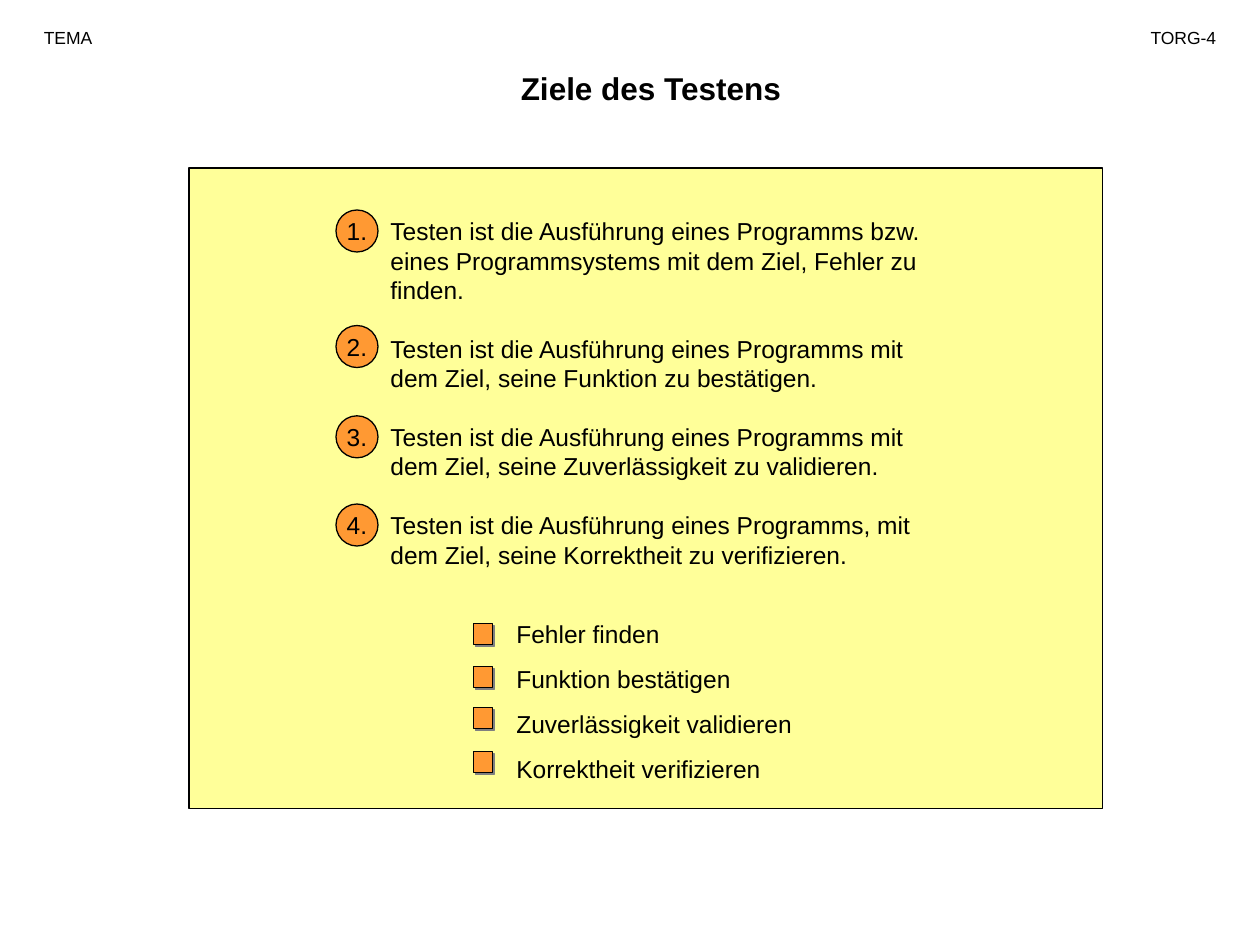
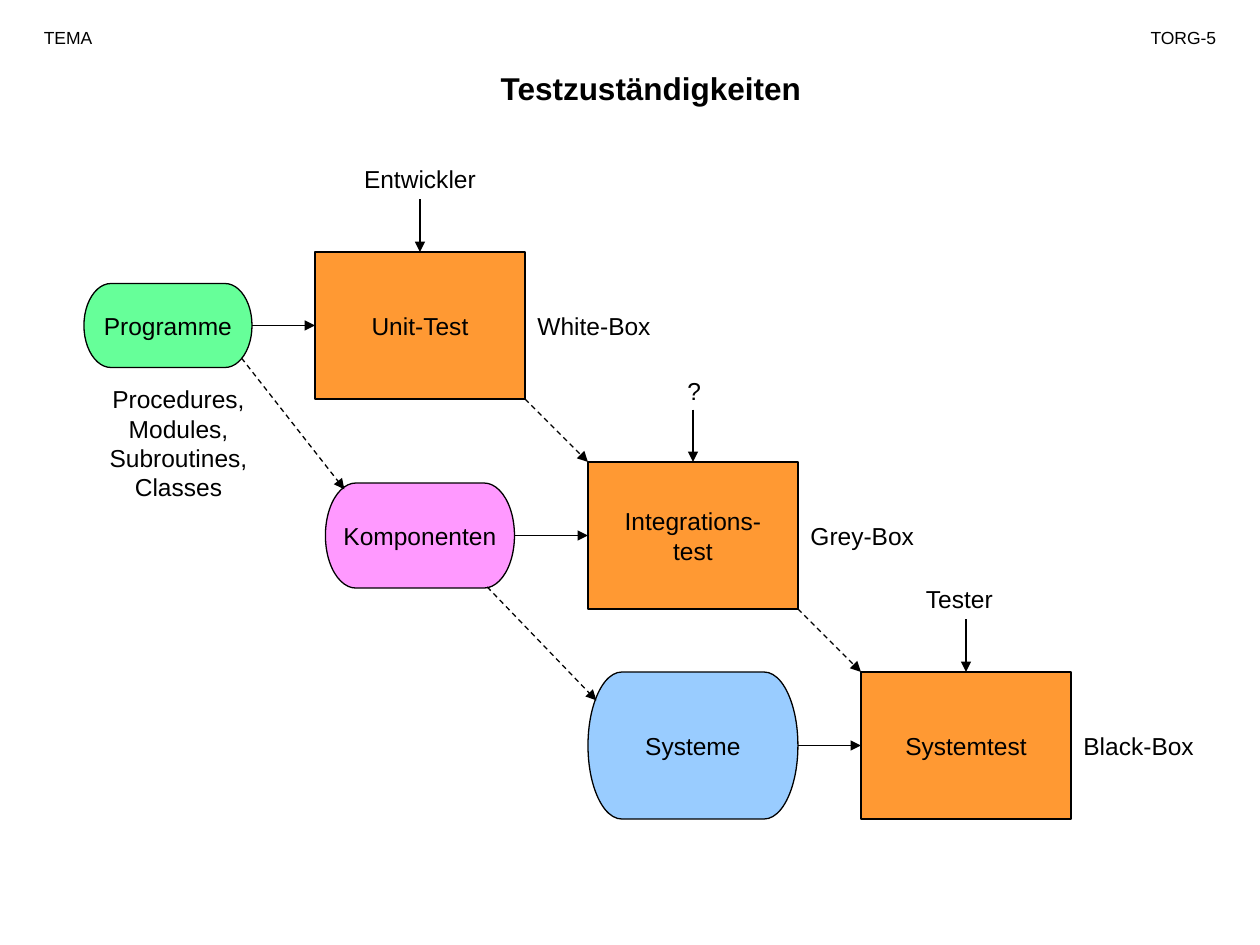
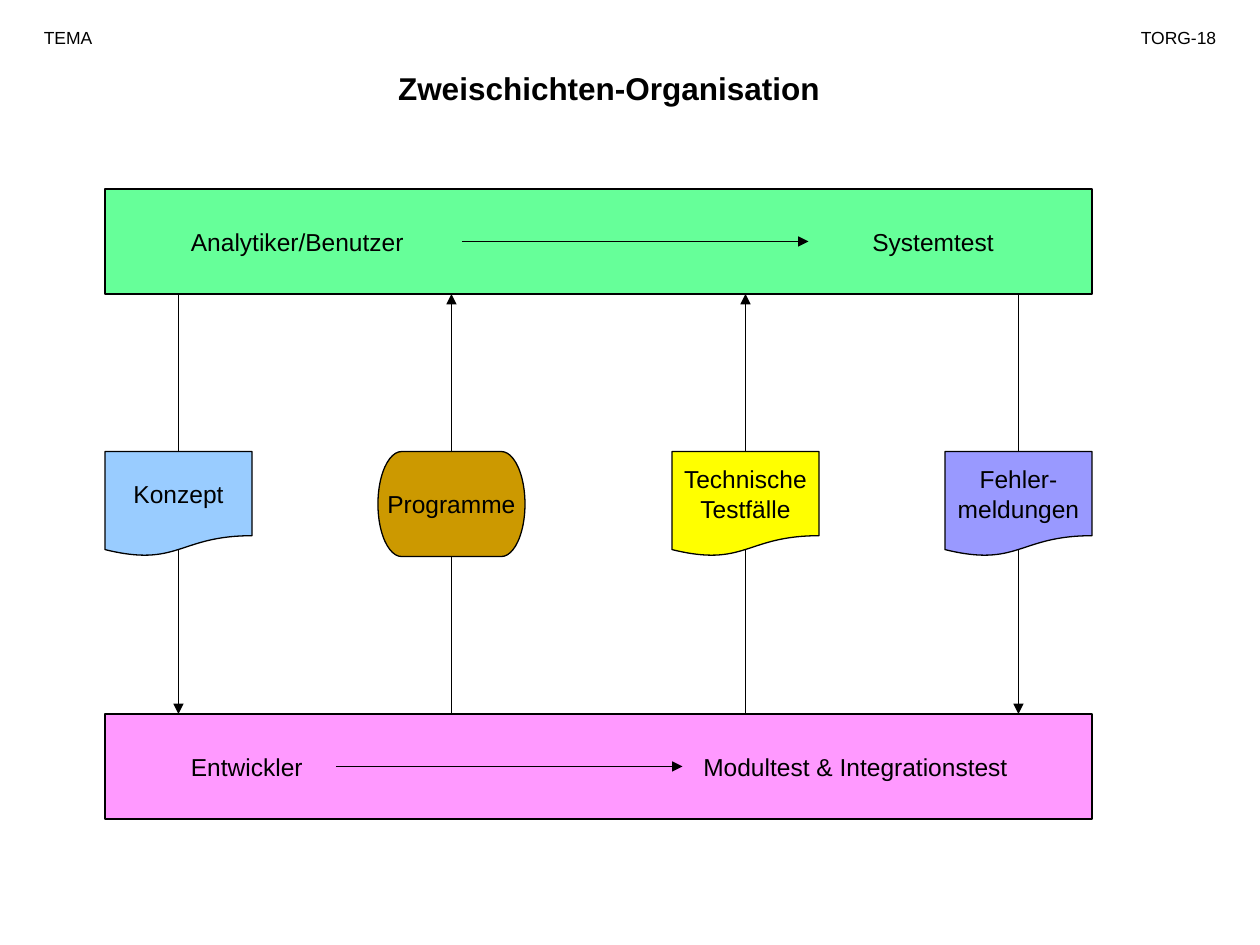
"""Build three slides on the goals, duties and layers of software testing."""
from typing import NamedTuple

from lxml import etree
from pptx import Presentation
from pptx.dml.color import RGBColor
from pptx.enum.dml import MSO_LINE
from pptx.enum.shapes import MSO_CONNECTOR, MSO_SHAPE
from pptx.enum.text import MSO_ANCHOR, MSO_AUTO_SIZE, PP_ALIGN
from pptx.oxml.ns import qn
from pptx.util import Emu, Pt

RECT = MSO_SHAPE.RECTANGLE
OVAL = MSO_SHAPE.OVAL
PILL = MSO_SHAPE.FLOWCHART_TERMINATOR
PAPER = MSO_SHAPE.FLOWCHART_DOCUMENT
STRAIGHT = MSO_CONNECTOR.STRAIGHT
DASH = MSO_LINE.DASH
MIDDLE = MSO_ANCHOR.MIDDLE
GROW = MSO_AUTO_SIZE.SHAPE_TO_FIT_TEXT
LEFT, CENTER, RIGHT = PP_ALIGN.LEFT, PP_ALIGN.CENTER, PP_ALIGN.RIGHT

PX = 7620
FONT = "Arial"
BODY = 14
ROW = 41
COLORS = {
    "black": "000000",
    "grey": "808080",
    "cream": "FFFF99",
    "orange": "FF9933",
    "green": "66FF99",
    "pink": "FF99FF",
    "blue": "99CCFF",
    "brown": "CC9900",
    "yellow": "FFFF00",
    "violet": "9999FF",
}


class Box(NamedTuple):
    """Place and size in px."""
    x: int
    y: int
    w: int
    h: int

    @property
    def right(self) -> int:
        """Return the right edge."""
        return self.x + self.w

    @property
    def base(self) -> int:
        """Return the bottom edge."""
        return self.y + self.h

    @property
    def mid_x(self) -> int:
        """Return the middle across."""
        return self.x + self.w // 2

    @property
    def mid_y(self) -> int:
        """Return the middle down."""
        return self.y + self.h // 2


class Stage(NamedTuple):
    """One test level with its input, its tester and its view."""
    test: str
    item: str
    color: str
    spot: Box
    role: str
    place: Box
    align: PP_ALIGN
    view: str


class Parcel(NamedTuple):
    """A thing handed from one layer to the other."""
    x: int
    text: str
    kind: MSO_SHAPE
    color: str
    foot: int
    down: bool


class Layer(NamedTuple):
    """A band with a group, an arrow and its tests."""
    y: int
    color: str
    text: str
    stop: int
    start: int


GOALS = [
    (200, "Testen ist die Ausführung eines Programms bzw.\n"
          "eines Programmsystems mit dem Ziel, Fehler zu finden."),
    (310, "Testen ist die Ausführung eines Programms mit\n"
          "dem Ziel, seine Funktion zu bestätigen."),
    (396, "Testen ist die Ausführung eines Programms mit\n"
          "dem Ziel, seine Zuverlässigkeit zu validieren."),
    (480, "Testen ist die Ausführung eines Programms, mit "
          "dem Ziel, seine Korrektheit zu verifizieren."),
]
POINTS = [
    (594, "Fehler finden"),
    (635, "Funktion bestätigen"),
    (674, "Zuverlässigkeit validieren"),
    (716, "Korrektheit verifizieren"),
]
STAGES = [
    Stage("Unit-Test", "Programme", "green", Box(80, 270, 160, 80),
          "Entwickler", Box(320, 150, 160, ROW), CENTER, "White-Box"),
    Stage("Integrations-\ntest", "Komponenten", "pink", Box(310, 460, 180, 100),
          "?", Box(643, 352, 50, ROW), LEFT, "Grey-Box"),
    Stage("Systemtest", "Systeme", "blue", Box(560, 640, 200, 140),
          "Tester", Box(870, 550, 100, ROW), LEFT, "Black-Box"),
]
GROWTH = [(230, 341, 328, 466), (464, 559, 568, 667)]
PARCELS = [
    Parcel(100, "Konzept", PAPER, "blue", 524, True),
    Parcel(360, "Programme", PILL, "brown", 530, False),
    Parcel(640, "Technische\nTestfälle", PAPER, "yellow", 524, False),
    Parcel(900, "Fehler-\nmeldungen", PAPER, "violet", 524, True),
]
LAYERS = [
    Layer(180, "green", "Analytiker/Benutzer\tSystemtest", 649, 440),
    Layer(680, "pink", "Entwickler\tModultest & Integrationstest", 488, 320),
]


def rgb(name: str) -> RGBColor:
    """Return a named colour."""
    return RGBColor.from_string(COLORS[name])


def scale(*sizes: int) -> list[Emu]:
    """Turn px into EMU."""
    return [Emu(size * PX) for size in sizes]


def style(par, size: int, align: PP_ALIGN, bold: bool = False) -> None:
    """Set the font and alignment of a paragraph."""
    par.alignment = align
    par.font.name = FONT
    par.font.size = Pt(size)
    par.font.bold = bold
    par.font.color.rgb = rgb("black")


def write(slide, box: Box, lines: list[str], align: PP_ALIGN = LEFT, size: int = BODY,
          bold: bool = False, gap: float = 0, stop: int = 0) -> None:
    """Add a text box with one paragraph per line."""
    frame = slide.shapes.add_textbox(*scale(*box)).text_frame
    frame.word_wrap = True
    frame.auto_size = GROW
    for index, line in enumerate(lines):
        par = frame.add_paragraph() if index else frame.paragraphs[0]
        par.text = line
        if index:
            par.space_before = Pt(gap)
        if stop:
            tabs = etree.SubElement(par._p.get_or_add_pPr(), qn("a:tabLst"))
            etree.SubElement(tabs, qn("a:tab"), pos=str(stop * PX), algn="l")
        style(par, size, align, bold)


def draw(slide, kind: MSO_SHAPE, box: Box, color: str, text: str = "",
         shade: bool = False) -> None:
    """Add an outlined shape, with text or a shadow if asked."""
    shape = slide.shapes.add_shape(kind, *scale(*box))
    shape.shadow.inherit = False
    shape.fill.solid()
    shape.fill.fore_color.rgb = rgb(color)
    shape.line.color.rgb = rgb("black")
    shape.line.width = Pt(0.75)
    if shade:
        effects = shape.element.spPr.find(qn("a:effectLst"))
        shadow = etree.SubElement(effects, qn("a:outerShdw"), dist=str(Pt(1.4)),
                                  dir="2700000", algn="ctr", rotWithShape="0")
        etree.SubElement(shadow, qn("a:srgbClr"), val=COLORS["grey"])
    if text:
        frame = shape.text_frame
        frame.text = text
        frame.word_wrap = False
        frame.vertical_anchor = MIDDLE
        for par in frame.paragraphs:
            style(par, BODY, CENTER)


def link(slide, ends: tuple[int, int, int, int], arrow: bool = True,
         dashed: bool = False) -> None:
    """Add a straight line or arrow."""
    line = slide.shapes.add_connector(STRAIGHT, *scale(*ends))
    line.line.color.rgb = rgb("black")
    line.line.width = Pt(0.75)
    if dashed:
        line.line.dash_style = DASH
    props = line.element.spPr
    if arrow:
        etree.SubElement(props.find(qn("a:ln")), qn("a:tailEnd"), type="triangle")
    etree.SubElement(props, qn("a:effectLst"))


def start(deck, title: str, page: str, head: Box = Box(260, 60, 720, 48),
          width: int = 110):
    """Add a blank slide with its title and header."""
    slide = deck.slides.add_slide(deck.slide_layouts[6])
    write(slide, head, [title], CENTER, 18, True)
    write(slide, Box(30, 20, 110, 32), ["TEMA"], size=10)
    write(slide, Box(1170 - width, 20, width, 32), [page], RIGHT, 10)
    return slide


def show_goals(deck) -> None:
    """Build the slide of test goals."""
    slide = start(deck, "Ziele des Testens", "TORG-4")
    draw(slide, RECT, Box(180, 160, 870, 610), "cream")
    write(slide, Box(360, 200, 570, 348), [text for _, text in GOALS], gap=16.8)
    write(slide, Box(480, 584, 290, 168), [text for _, text in POINTS], gap=8.8)
    for number, (y, _) in enumerate(GOALS, 1):
        draw(slide, OVAL, Box(320, y, 40, 40), "orange", f"{number}.")
    for y, _ in POINTS:
        draw(slide, RECT, Box(451, y, 18, 20), "orange", shade=True)


def show_duties(deck) -> None:
    """Build the staircase of test levels."""
    slide = start(deck, "Testzuständigkeiten", "TORG-5")
    steps = [Box(300 + 260 * i, 240 + 200 * i, 200, 140) for i in range(len(STAGES))]
    for stage, step in zip(STAGES, steps):
        draw(slide, RECT, step, "orange", stage.test)
        draw(slide, PILL, stage.spot, stage.color, stage.item)
        link(slide, (stage.spot.right, step.mid_y, step.x, step.mid_y))
        link(slide, (step.mid_x, step.y - 50, step.mid_x, step.y))
        write(slide, stage.place, [stage.role], stage.align)
        write(slide, Box(step.right, step.mid_y - 20, 140, ROW), [stage.view])
    for step, after in zip(steps, steps[1:]):
        link(slide, (step.right, step.base, after.x, after.y), dashed=True)
    for ends in GROWTH:
        link(slide, ends, dashed=True)
    write(slide, Box(90, 360, 160, 125),
          ["Procedures,\nModules,\nSubroutines,\nClasses"], CENTER)


def show_layers(deck) -> None:
    """Build the slide of the two layers."""
    slide = start(deck, "Zweischichten-Organisation", "TORG-18",
                  Box(90, 60, 980, 48), 130)
    bands = [Box(100, layer.y, 940, 100) for layer in LAYERS]
    for layer, band in zip(LAYERS, bands):
        draw(slide, RECT, band, layer.color)
        write(slide, Box(170, band.y + 30, 810, ROW), [layer.text], stop=layer.stop)
        link(slide, (layer.start, band.mid_y, layer.start + 330, band.mid_y))
    top, low = bands[0].base, bands[1].y
    for parcel in PARCELS:
        box = Box(parcel.x, 430, 140, 100)
        draw(slide, parcel.kind, box, parcel.color, parcel.text)
        x = box.mid_x
        if parcel.down:
            link(slide, (x, top, x, box.y), arrow=False)
            link(slide, (x, parcel.foot, x, low))
        else:
            link(slide, (x, box.y, x, top))
            link(slide, (x, low, x, parcel.foot), arrow=False)


def main() -> None:
    """Build and save the deck."""
    deck = Presentation()
    deck.slide_width, deck.slide_height = scale(1200, 900)
    show_goals(deck)
    show_duties(deck)
    show_layers(deck)
    deck.save("out.pptx")


if __name__ == "__main__":
    main()
